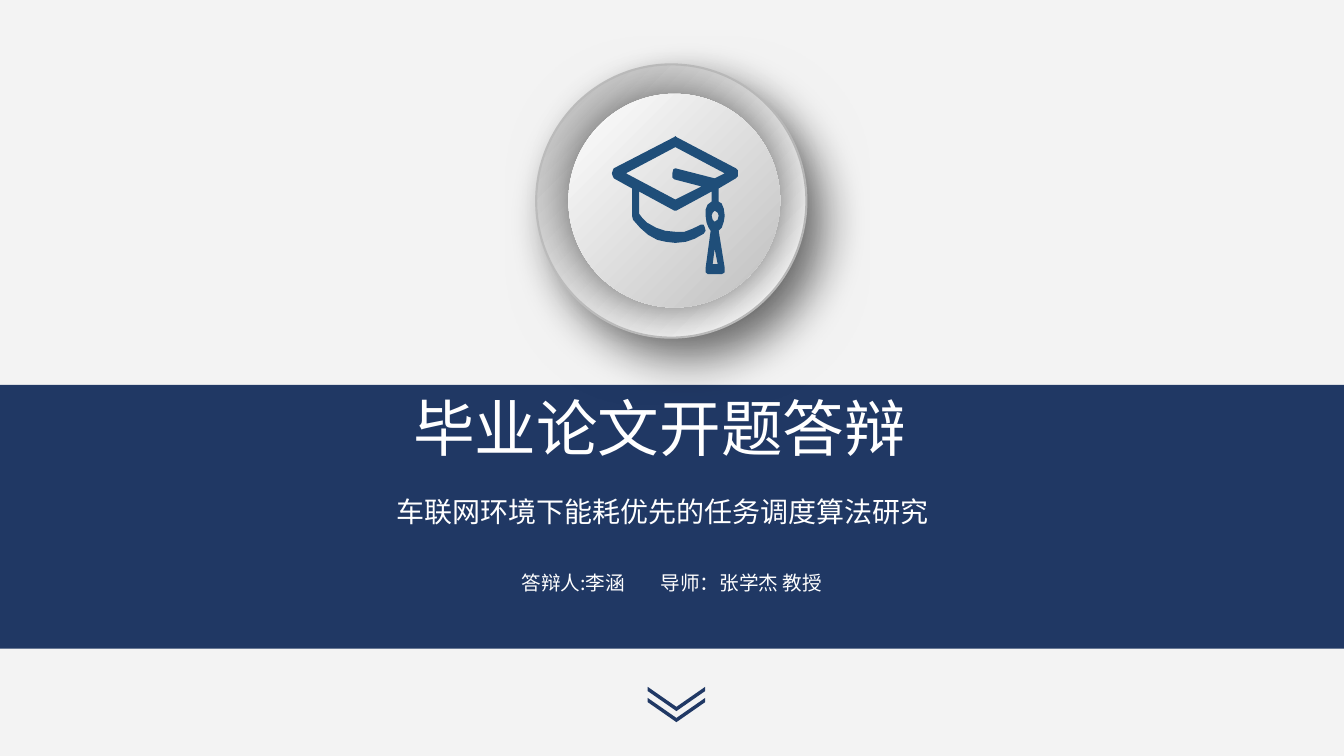
from lxml.etree import SubElement
from pptx import Presentation
from pptx.dml.color import RGBColor
from pptx.enum.shapes import MSO_SHAPE
from pptx.enum.text import MSO_ANCHOR, PP_ALIGN
from pptx.oxml import parse_xml
from pptx.oxml.ns import nsdecls, qn
from pptx.util import Pt

COLORS = {"back": "F3F3F3", "band": "203864", "cap": "1F4E79",
          "white": "FFFFFF", "gray": "BFBFBF", "shade": "000000"}

# Text: box (left, top, width, height), size, alignment, parts set apart by a gap
TEXTS = [
    ((288, 275, 391, 60.5), 44, PP_ALIGN.JUSTIFY, ["毕业论文开题答辩"]),
    ((275.8, 349.2, 415.4, 31.7), 20, PP_ALIGN.JUSTIFY,
     ["车联网环境下能耗优先的任务调度算法研究"]),
    ((280.8, 403.9, 398.2, 24.5), 14, PP_ALIGN.CENTER,
     ["答辩人:李涵", "导师：张学杰 教授"]),
]
GAP = 22

# Discs: box, colour at lower right, colour at upper left, edge, shadow distance
DISCS = [
    ((383, 46, 193, 195.2), "white", "gray", "gray", 18),
    ((406.1, 67, 151.2, 152.6), "gray", "white", None, 0),
]

# Graduation cap: closed outlines in units of 0.72 pt
UNIT = 0.72
CAP = [
    [(730, 167), (671, 136), (670, 135.3), (669, 136), (609, 167),
     (607.5, 169), (607, 172), (607.5, 175), (609, 177), (627, 187),
     (627, 214), (628, 218), (635, 226), (643, 233), (652, 238), (661, 240.5),
     (670, 241), (680, 240), (689, 237), (698, 232), (699.5, 229), (699, 225),
     (697.5, 223), (695, 223), (687, 227), (679, 229.5), (670, 230),
     (660, 229), (651, 226), (642, 221), (637, 216), (634, 212), (634, 190),
     (669, 209), (671, 209), (706, 190), (706, 200), (702.5, 203), (700.5, 208),
     (700, 214), (701, 221), (703, 226), (705, 229), (700, 266), (699.5, 268),
     (700, 270), (701.5, 271.6), (703, 272), (716, 272), (718, 271.4),
     (719, 270), (719.4, 268), (719, 266), (713, 229), (716.5, 225.5),
     (718.5, 220), (719, 214), (718, 207), (716, 202.5), (713, 200),
     (713, 187), (730, 177), (731.5, 175), (732, 172), (731.5, 169)],
    [(709, 209), (712, 211), (713, 214), (712, 218), (709, 220),
     (707, 218), (706, 214), (707, 211)],
    [(707, 262), (709, 247), (712, 262)],
    [(709, 177), (670, 167), (668, 168.5), (667, 172), (667.3, 175.5),
     (669, 178), (696, 185), (670, 198), (621, 172), (670, 146), (719, 172)],
]

# Chevrons
MARK = (474.5, 17.3, 41)
TOPS = [486.7, 478.8]


def paint(shape, fill):
    shape.shadow.inherit = False
    shape.fill.solid()
    shape.fill.fore_color.rgb = RGBColor.from_string(COLORS[fill])
    shape.line.fill.background()


def add(kind, box, fill):
    shape = slide.shapes.add_shape(kind, *map(Pt, box))
    paint(shape, fill)
    return shape


def blend(shape, near, far):
    props = shape.fill._xPr
    props.replace(props.find(qn("a:solidFill")), parse_xml(
        f'<a:gradFill {nsdecls("a")} rotWithShape="1"><a:gsLst>'
        f'<a:gs pos="0"><a:srgbClr val="{COLORS[near]}"/></a:gs>'
        f'<a:gs pos="100000"><a:srgbClr val="{COLORS[far]}"/></a:gs></a:gsLst>'
        '<a:path path="circle"><a:fillToRect l="100000" t="100000"/></a:path>'
        '</a:gradFill>'))


def shade(shape, dist):
    effects = shape.fill._xPr.find(qn("a:effectLst"))
    cast = SubElement(effects, qn("a:outerShdw"), blurRad=str(Pt(33)),
                      dist=str(Pt(dist)), dir=str(50 * 60000),
                      algn="ctr", rotWithShape="0")
    color = SubElement(cast, qn("a:srgbClr"), val=COLORS["shade"])
    SubElement(color, qn("a:alpha"), val="55000")


def write(box, size, align, parts):
    frame = slide.shapes.add_textbox(*map(Pt, box)).text_frame
    frame.word_wrap = True
    frame.vertical_anchor = MSO_ANCHOR.MIDDLE
    frame.margin_top = frame.margin_bottom = 0
    para = frame.paragraphs[0]
    para.alignment = align
    para.font.size = Pt(size)
    para.font.name = "Noto Sans CJK SC"
    para.font.color.rgb = RGBColor.from_string(COLORS["white"])
    east = SubElement(para.font._rPr, qn("a:ea"))
    east.set("typeface", "Noto Sans CJK SC")
    for i, part in enumerate(parts):
        if i:
            space = para.add_run()
            space.text = " "
            space.font._rPr.set("spc", str(GAP * 100))
        para.add_run().text = part


deck = Presentation()
deck.slide_width, deck.slide_height = Pt(960), Pt(540)
slide = deck.slides.add_slide(deck.slide_layouts[6])
slide.background.fill.solid()
slide.background.fill.fore_color.rgb = RGBColor.from_string(COLORS["back"])

# Title band
add(MSO_SHAPE.RECTANGLE, (0, 275, 960, 188.3), "band")

# Badge
for box, near, far, edge, dist in DISCS:
    disc = add(MSO_SHAPE.OVAL, box, near)
    blend(disc, near, far)
    if edge:
        disc.line.color.rgb = RGBColor.from_string(COLORS[edge])
        disc.line.width = Pt(1.5)
    shade(disc, dist)

# Cap on the badge
pen = slide.shapes.build_freeform(*CAP[0][0], scale=Pt(UNIT))
for i, loop in enumerate(CAP):
    if i:
        pen.move_to(*loop[0])
    pen.add_line_segments(loop[1:], close=True)
paint(pen.convert_to_shape(), "cap")

# Double chevron
left, width, height = MARK
for top in TOPS:
    mark = add(MSO_SHAPE.CHEVRON, (left, top, width, height), "band")
    mark.rotation = 90
    mark.adjustments[0] = 0.825

# Words
for item in TEXTS:
    write(*item)

deck.save("out.pptx")
